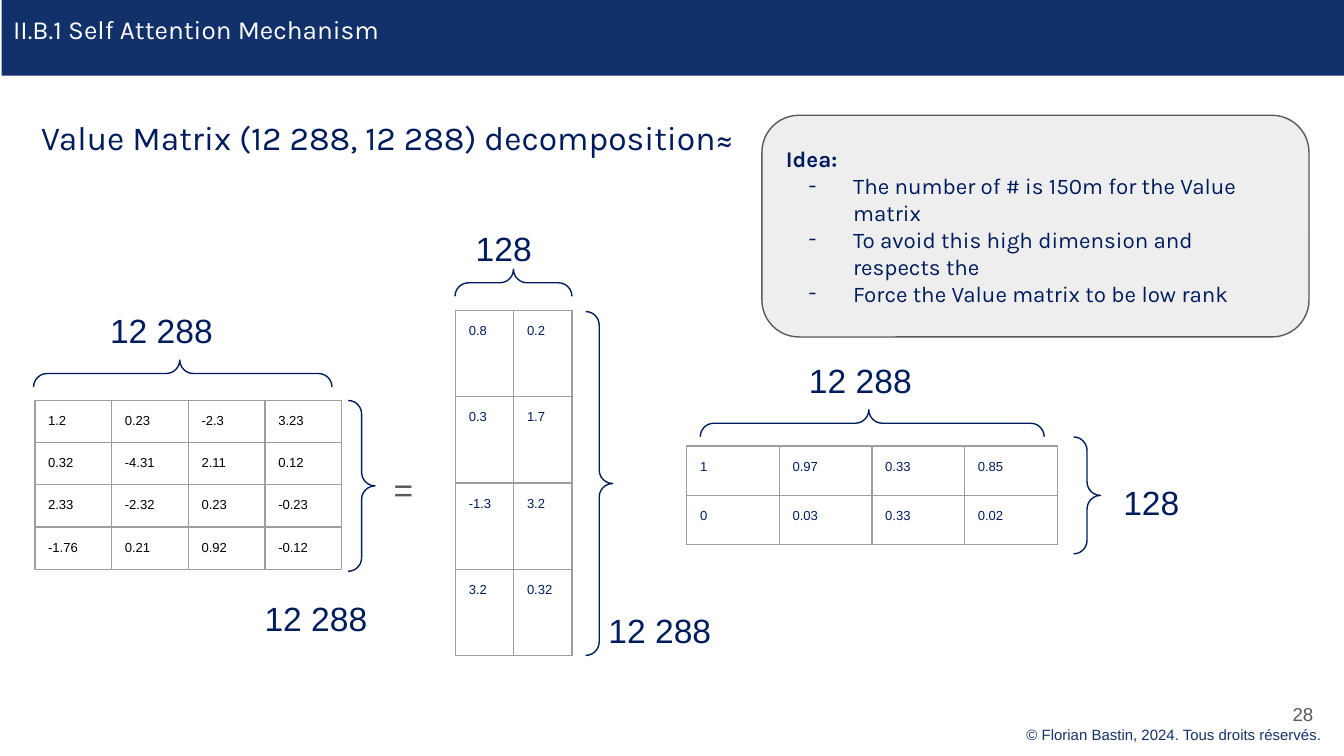
from lxml import etree
from pptx import Presentation
from pptx import util as u
from pptx.dml.color import RGBColor
from pptx.enum import shapes, text
from pptx.oxml import ns

NAVY = RGBColor(0x01, 0x1C, 0x5D)
BANNER = RGBColor(0x12, 0x31, 0x6A)
WHITE = RGBColor(0xFF, 0xFF, 0xFF)
BLACK = RGBColor(0x00, 0x00, 0x00)
GREY = RGBColor(0x59, 0x59, 0x59)
PANEL = RGBColor(0xEE, 0xEE, 0xEE)
BORDER = RGBColor(0x9E, 0x9E, 0x9E)
MARGIN = u.Cm(0.25)


def write(frame, lines, name, size, color):
    """Fill a text frame or cell with lines of text in one font."""
    for side in ("left", "top", "right", "bottom"):
        setattr(frame, f"margin_{side}", MARGIN)
    frame.text = "\n".join(lines)
    paragraphs = getattr(frame, "text_frame", frame).paragraphs
    for paragraph in paragraphs:
        for run in paragraph.runs:
            run.font.color.rgb = color
            for attribute, value in {"name": name, "size": u.Pt(size)}.items():
                setattr(run.font, attribute, value)
    return paragraphs


def add_outlined(kind, left, top, width, height, color):
    shape = slide.shapes.add_shape(kind, u.Cm(left), u.Cm(top), u.Cm(width), u.Cm(height))
    shape.shadow.inherit = False
    shape.fill.background()
    shape.line.color.rgb = color
    shape.line.width = u.Pt(0.75)
    return shape


presentation = Presentation()
presentation.slide_width = u.Cm(25.4)
presentation.slide_height = u.Cm(14.29)
slide = presentation.slides.add_slide(presentation.slide_layouts[6])

# Banner
banner = add_outlined(shapes.MSO_SHAPE.RECTANGLE, 0.03, 0, 25.37, 1.43, BANNER)
banner.fill.solid()
banner.fill.fore_color.rgb = BANNER
banner.line.fill.background()

# Titles, matrix dimensions and footer
TOP, MIDDLE = text.MSO_ANCHOR.TOP, text.MSO_ANCHOR.MIDDLE
LEFT, RIGHT = text.PP_ALIGN.LEFT, text.PP_ALIGN.RIGHT
labels = [
    ("II.B.1 Self Attention Mechanism", 0, 0, 21.11, 1.43, "Karla", 14, WHITE, TOP, LEFT),
    ("Value Matrix (12 288, 12 288) decomposition≈",
     0.53, 1.75, 16.66, 1.68, "Karla", 18, NAVY, MIDDLE, LEFT),
    ("© Florian Bastin, 2024. Tous droits réservés.",
     19.15, 13.54, 6.15, 0.76, "Arial", 8, BANNER, TOP, LEFT),
    ("28", 23.55, 12.95, 1.52, 1.09, "Arial", 10, GREY, MIDDLE, RIGHT),
    ("=", 7.19, 8.61, 1.35, 1.02, "Arial", 18, GREY, TOP, LEFT),
]
dimensions = [
    ("12 288", 1.83, 5.61), ("12 288", 4.75, 11.05),
    ("128", 8.74, 4.06), ("12 288", 11.25, 11.28),
    ("12 288", 15.04, 6.55), ("128", 20.98, 8.86),
]
for words, left, top in dimensions:
    labels.append((words, left, top, 2.92, 1.02, "Arial", 18, NAVY, TOP, LEFT))
for words, left, top, width, height, name, size, color, anchor, alignment in labels:
    box = slide.shapes.add_textbox(u.Cm(left), u.Cm(top), u.Cm(width), u.Cm(height))
    box.text_frame.word_wrap = True
    box.text_frame.vertical_anchor = anchor
    write(box.text_frame, [words], name, size, color)[0].alignment = alignment

# Matrices: left, top, column width, row height, text colour, values
matrices = [
    (0.66, 7.57, 1.45, 0.78, BLACK, [
        ["1.2", "0.23", "-2.3", "3.23"],
        ["0.32", "-4.31", "2.11", "0.12"],
        ["2.33", "-2.32", "0.23", "-0.23"],
        ["-1.76", "0.21", "0.92", "-0.12"]]),
    (8.61, 5.87, 1.1, 1.63, NAVY, [
        ["0.8", "0.2"], ["0.3", "1.7"], ["-1.3", "3.2"], ["3.2", "0.32"]]),
    (12.98, 8.43, 1.75, 0.93, NAVY, [
        ["1", "0.97", "0.33", "0.85"], ["0", "0.03", "0.33", "0.02"]]),
]
for left, top, column_width, row_height, color, values in matrices:
    row_count, column_count = len(values), len(values[0])
    table = slide.shapes.add_table(
        row_count, column_count, u.Cm(left), u.Cm(top),
        u.Cm(column_width * column_count), u.Cm(row_height * row_count)).table
    table.first_row = table.horz_banding = False
    for column in table.columns:
        column.width = u.Cm(column_width)
    for row, row_values in zip(table.rows, values):
        row.height = u.Cm(row_height)
        for cell, value in zip(row.cells, row_values):
            write(cell, [value], "Arial", 7, color)
            properties = cell._tc.get_or_add_tcPr()
            for edge in ("a:lnL", "a:lnR", "a:lnT", "a:lnB"):
                line = etree.SubElement(properties, ns.qn(edge), w=str(u.Pt(0.75)))
                fill = etree.SubElement(line, ns.qn("a:solidFill"))
                etree.SubElement(fill, ns.qn("a:srgbClr"), val=str(BORDER))
            cell.fill.background()

# Braces: left, top, length, rotation, position of the point
THICKNESS = 0.51
braces = [
    (3.2, 4.24, 5.64, 270, 0.49), (6.58, 7.57, 3.23, 0, 0.5),
    (9.45, 4.24, 2.21, 270, 0.5), (11.07, 5.89, 6.5, 0, 0.5),
    (16.23, 4.75, 6.5, 270, 0.49), (20.29, 8.26, 2.21, 0, 0.5),
]
for left, top, length, rotation, point in braces:
    brace = add_outlined(shapes.MSO_SHAPE.RIGHT_BRACE, left, top, THICKNESS, length, NAVY)
    brace.rotation = rotation
    brace.adjustments[0] = 0.5
    brace.adjustments[1] = point

# Idea panel
panel = add_outlined(shapes.MSO_SHAPE.ROUNDED_RECTANGLE, 14.4, 2.18, 10.34, 4.19, GREY)
panel.fill.solid()
panel.fill.fore_color.rgb = PANEL
panel.text_frame.word_wrap = True
panel.text_frame.vertical_anchor = MIDDLE
heading, *ideas = write(panel.text_frame, [
    "Idea:",
    "The number of # is 150m for the Value matrix",
    "To avoid this high dimension and respects the",
    "Force the Value matrix to be low rank",
], "Karla", 12, NAVY)
heading.alignment = LEFT
heading.runs[0].font.bold = True
for idea in ideas:
    idea.alignment = LEFT
    properties = idea._p.get_or_add_pPr()
    properties.set("marL", str(u.Cm(1.27)))
    properties.set("indent", str(u.Cm(-0.84)))
    bullet_color = etree.SubElement(properties, ns.qn("a:buClr"))
    etree.SubElement(bullet_color, ns.qn("a:srgbClr"), val=str(NAVY))
    etree.SubElement(properties, ns.qn("a:buFont"), typeface="Karla")
    etree.SubElement(properties, ns.qn("a:buChar"), char="-")

presentation.save("out.pptx")
